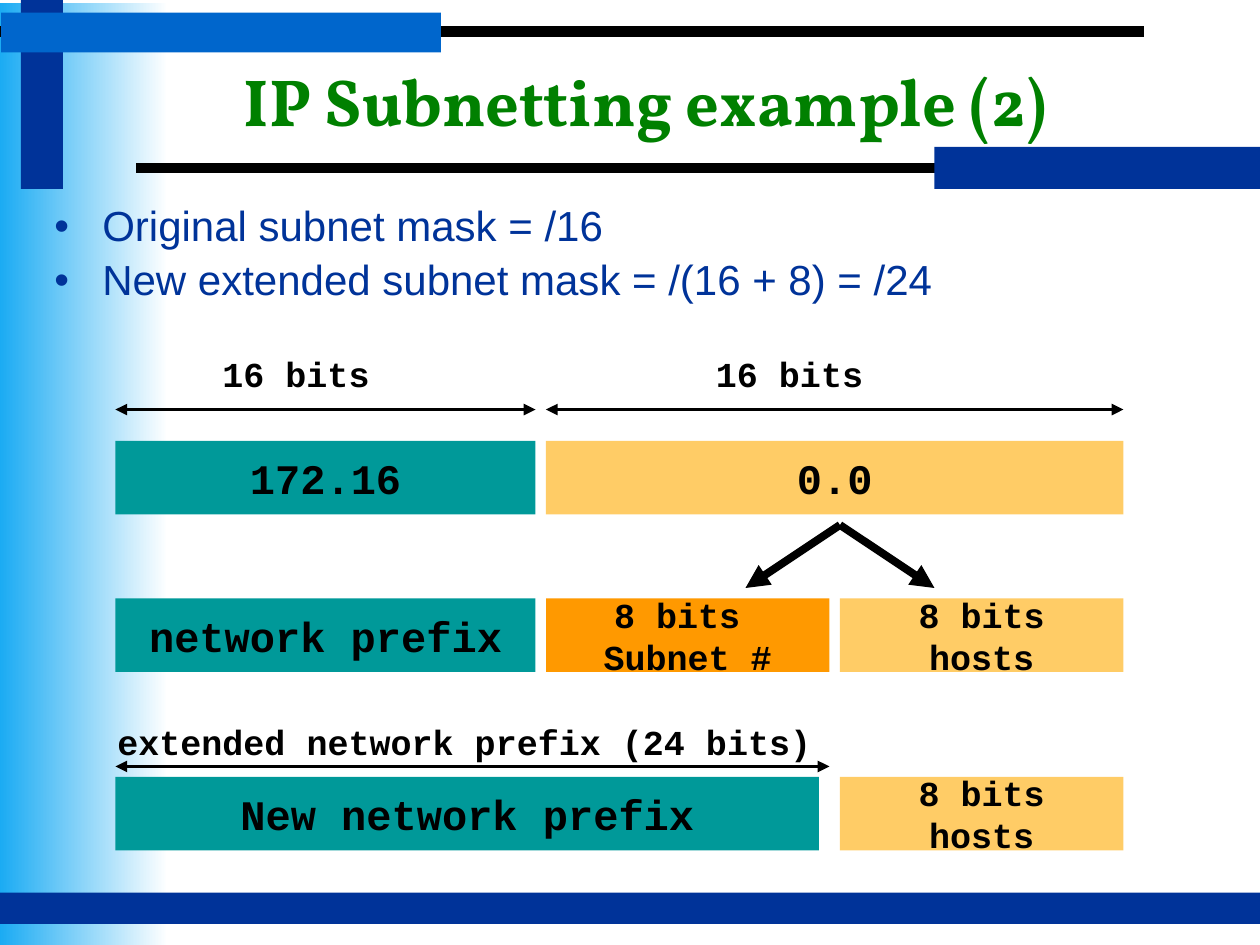
from lxml.etree import SubElement
from pptx import Presentation
from pptx.dml.color import RGBColor
from pptx.enum.shapes import MSO_CONNECTOR as Connector, MSO_SHAPE as Shape
from pptx.enum.text import MSO_ANCHOR as Anchor, PP_ALIGN as Align
from pptx.oxml.ns import qn
from pptx.util import Inches, Pt

WIDTH, HEIGHT = 10, 7.5
COLUMNS, ROWS = 120, 90
BLACK, NAVY, BLUE, SKY, WHITE = "000000", "003399", "0066CC", "1BABF3", "FFFFFF"
TEAL, SAND, ORANGE, GREEN = "009999", "FFCC66", "FF9900", "008000"
MONO = {"font": "Courier New", "bold": True}


def color(value):
    return RGBColor.from_string(value)


def across(columns):
    return Inches(WIDTH * columns / COLUMNS)


def down(rows):
    return Inches(HEIGHT * rows / ROWS)


def place(box):
    left, top, width, height = box
    return across(left), down(top), across(width), down(height)


def add_bullet(paragraph, indent=0.38):
    properties = paragraph._p.get_or_add_pPr()
    properties.set("marL", str(Inches(indent)))
    properties.set("indent", str(-Inches(indent)))
    SubElement(properties, qn("a:buFont"), typeface="Arial")
    SubElement(properties, qn("a:buChar"), char="•")


def write(shape, text, size=20, font="Arial", fill=BLACK, bold=False, align=Align.LEFT,
          anchor=Anchor.TOP, wrap=True, bullet=False, line_spacing=None, gap=0):
    frame = shape.text_frame
    frame.word_wrap = wrap
    frame.vertical_anchor = anchor
    for index, line in enumerate(text.split("\n")):
        paragraph = frame.add_paragraph() if index else frame.paragraphs[0]
        if bullet:
            add_bullet(paragraph)
        paragraph.alignment = align
        paragraph.line_spacing = line_spacing
        paragraph.space_before = Pt(gap if index else 0)
        run = paragraph.add_run()
        run.text = line
        run.font.name = font
        run.font.size = Pt(size)
        run.font.bold = bold
        run.font.color.rgb = color(fill)


def add_text(slide, box, text, **style):
    write(slide.shapes.add_textbox(*place(box)), text, **style)


def add_bar(slide, box, fill):
    bar = slide.shapes.add_shape(Shape.RECTANGLE, *place(box))
    bar.shadow.inherit = False
    bar.line.fill.background()
    if isinstance(fill, tuple):
        bar.fill.gradient()
        bar.fill.gradient_angle = 0
        for position, (stop, value) in enumerate(zip(bar.fill.gradient_stops, fill)):
            stop.position = position
            stop.color.rgb = color(value)
    else:
        bar.fill.solid()
        bar.fill.fore_color.rgb = color(fill)
    return bar


def add_line(slide, start, end, weight, heads=()):
    line = slide.shapes.add_connector(
        Connector.STRAIGHT, across(start[0]), down(start[1]), across(end[0]), down(end[1]))
    line.line.color.rgb = color(BLACK)
    line.line.width = Pt(weight)
    outline = line.line._get_or_add_ln()
    for head in heads:
        SubElement(outline, qn(f"a:{head}"), type="triangle")
    SubElement(line._element.spPr, qn("a:effectLst"))


def add_field(slide, box, text, fill, size=24):
    write(add_bar(slide, box, fill), text, size=size, align=Align.CENTER,
          anchor=Anchor.MIDDLE, wrap=False, **MONO)


def add_span(slide, left, top, width):
    add_line(slide, (left, top), (left + width, top), 2.25, ("headEnd", "tailEnd"))


def add_frame(slide, box):
    left, top, width, height = box
    right = left + width
    add_bar(slide, (left, top + 0.24, 16, height - 0.24), (SKY, WHITE))
    add_line(slide, (left + 13, top + 16), (right, top + 16), 6)
    add_line(slide, (left, top + 3), (right - 11, top + 3), 6)
    add_bar(slide, (left + 2, top, 4, 18), NAVY)
    add_bar(slide, (left + 0.12, top + 1.2, 41.88, 3.8), BLUE)
    add_bar(slide, (right - 31, top + 14, 31, 4), NAVY)
    add_bar(slide, (left, top + height - 5, width, 3), NAVY)


def add_heading(slide, box):
    left, top, width, height = box
    add_text(slide, (left + 2, top, width - 1, 11), "IP Subnetting example (2)", size=38,
             font="Vollkorn", fill=GREEN, bold=True, align=Align.CENTER, anchor=Anchor.MIDDLE)
    add_text(slide, (left, top + 15, width, height - 15),
             "Original subnet mask = /16\nNew extended subnet mask = /(16 + 8) = /24",
             size=24, fill=NAVY, bullet=True, line_spacing=0.9, gap=4.8)


def add_address_diagram(slide, box):
    left, top, width, height = box
    field, gap, prefix = 7, 1, 40
    host = left + prefix + gap
    host_width = width - prefix - gap
    half = (host_width - gap) / 2
    last = host + half + gap
    address, split, extended = top + 9, top + 24, top + height - field

    for start, span, label in ((left, prefix, left + 9), (host, host_width, host + 15)):
        add_text(slide, (label, top, 21, 5.25), "16 bits", **MONO)
        add_span(slide, start, top + 6, span)
    add_field(slide, (left, address, prefix, field), "172.16", TEAL)
    add_field(slide, (host, address, host_width, field), "0.0", SAND)

    for offset in (-9, 9):
        add_line(slide, (last, address + field + 1), (last + offset, split - 1), 4.5, ("tailEnd",))
    add_field(slide, (left, split, prefix, field), "network prefix", TEAL)
    add_field(slide, (host, split, half, field), "8 bits \nSubnet #", ORANGE, size=20)

    add_text(slide, (left - 1, extended - 6, 71, 5.25), "extended network prefix (24 bits)", **MONO)
    add_span(slide, left, extended - 1, last - gap - left)
    add_field(slide, (left, extended, last - 2 * gap - left, field), "New network prefix", TEAL)
    for row in (split, extended):
        add_field(slide, (last, row, half, field), "8 bits\nhosts", SAND, size=20)


def main():
    presentation = Presentation()
    presentation.slide_width = Inches(WIDTH)
    presentation.slide_height = Inches(HEIGHT)
    slide = presentation.slides.add_slide(presentation.slide_layouts[6])
    add_frame(slide, (0, 0, COLUMNS, ROWS))
    add_heading(slide, (4, 4, 112, 26))
    add_address_diagram(slide, (11, 33, 96, 48))
    presentation.save("out.pptx")


if __name__ == "__main__":
    main()
